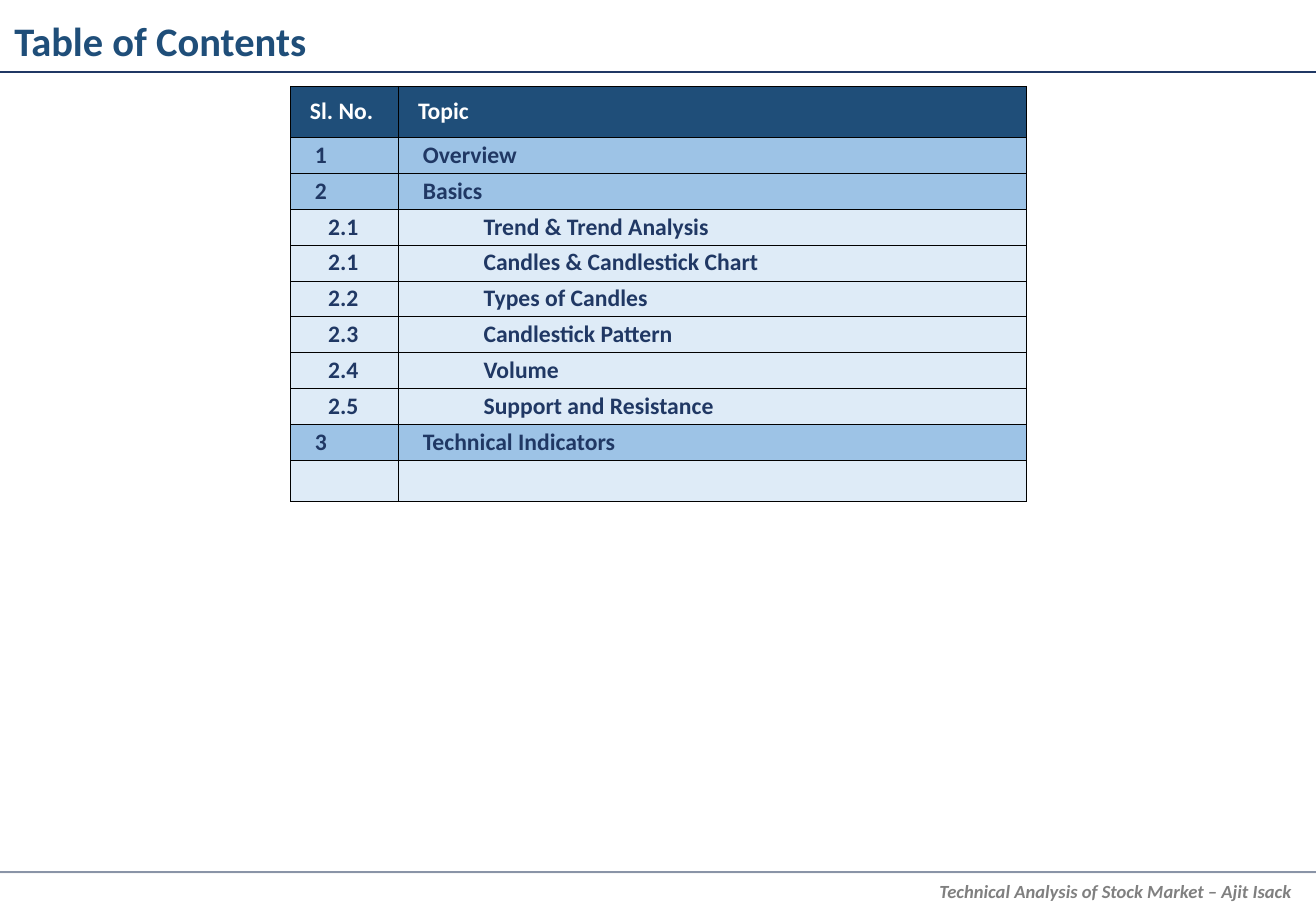
from dataclasses import dataclass

from lxml.etree import SubElement
from pptx import Presentation
from pptx.dml.color import RGBColor
from pptx.enum.shapes import MSO_CONNECTOR
from pptx.enum.text import MSO_ANCHOR, PP_ALIGN
from pptx.oxml.ns import qn
from pptx.slide import Slide
from pptx.table import _Cell
from pptx.text.text import TextFrame
from pptx.util import Cm, Pt

COLORS = {
    "title": "1F4E79",
    "navy": "203864",
    "section": "9DC3E6",
    "topic": "DEEBF7",
    "white": "FFFFFF",
    "footer": "808080",
    "overlay": "DBDBDB",
    "border": "000000",
}
PAGE_WIDTH, PAGE_HEIGHT = 27.51, 19.05
TITLE_HEIGHT = 1.5


@dataclass(frozen=True)
class RowStyle:
    height: float
    fill: str
    font: str
    number_margin: float
    topic_margin: float
    topic_indent: float = 0


@dataclass(frozen=True)
class Entry:
    number: str
    topic: str
    style: RowStyle


@dataclass(frozen=True)
class Rule:
    top: float
    color: str
    opacity: int = 100


HEADER = RowStyle(1.07, "title", "white", 0.41, 0.41)
SECTION = RowStyle(0.75, "section", "navy", 0.51, 0.51)
TOPIC = RowStyle(0.75, "topic", "navy", 0.79, 0.51, 1.27)
EMPTY = RowStyle(0.86, "topic", "navy", 0.51, 0.51)

ENTRIES = [
    Entry("Sl. No.", "Topic", HEADER),
    Entry("1", "Overview", SECTION),
    Entry("2", "Basics", SECTION),
    Entry("2.1", "Trend & Trend Analysis", TOPIC),
    Entry("2.1", "Candles & Candlestick Chart", TOPIC),
    Entry("2.2", "Types of Candles", TOPIC),
    Entry("2.3", "Candlestick Pattern", TOPIC),
    Entry("2.4", "Volume", TOPIC),
    Entry("2.5", "Support and Resistance", TOPIC),
    Entry("3", "Technical Indicators", SECTION),
    Entry("", "", EMPTY),
]
RULES = [
    Rule(TITLE_HEIGHT, "navy"),
    Rule(18.24, "navy"),
    Rule(18.24, "overlay", 57),
]


def rgb(name: str) -> RGBColor:
    return RGBColor.from_string(COLORS[name])


def write_text(frame: TextFrame, text: str, *, size: float, color: str,
               italic: bool = False, align: PP_ALIGN = PP_ALIGN.LEFT,
               indent: float = 0) -> None:
    para = frame.paragraphs[0]
    para.alignment = align
    if indent:
        para._p.get_or_add_pPr().set("marL", str(Cm(indent)))
    span = para.add_run()
    span.text = text
    span.font.name = "Calibri"
    span.font.size = Pt(size)
    span.font.bold = True
    span.font.italic = italic
    span.font.color.rgb = rgb(color)


def add_frame(page: Slide, left: float, top: float, width: float, height: float,
              margins: tuple[float, float, float, float],
              anchor: MSO_ANCHOR) -> TextFrame:
    frame = page.shapes.add_textbox(Cm(left), Cm(top), Cm(width), Cm(height)).text_frame
    frame.word_wrap = True
    frame.vertical_anchor = anchor
    (frame.margin_left, frame.margin_top,
     frame.margin_right, frame.margin_bottom) = map(Cm, margins)
    return frame


def draw_rule(page: Slide, rule: Rule) -> None:
    line = page.shapes.add_connector(
        MSO_CONNECTOR.STRAIGHT, 0, Cm(rule.top), Cm(PAGE_WIDTH), Cm(rule.top))
    line.line.width = Pt(1.25)
    line.line.color.rgb = rgb(rule.color)
    if rule.opacity < 100:
        color = next(line._element.spPr.iter(qn("a:srgbClr")))
        SubElement(color, qn("a:alpha"), val=str(rule.opacity * 1000))
    SubElement(line._element.spPr, qn("a:effectLst"))


def draw_borders(cell: _Cell) -> None:
    properties = cell._tc.get_or_add_tcPr()
    for side in ("L", "R", "T", "B"):
        border = SubElement(properties, qn(f"a:ln{side}"), w=str(Pt(0.25)))
        fill = SubElement(border, qn("a:solidFill"))
        SubElement(fill, qn("a:srgbClr"), val=COLORS["border"])


def draw_cell(cell: _Cell, text: str, style: RowStyle, margin: float,
              indent: float = 0) -> None:
    draw_borders(cell)
    cell.fill.solid()
    cell.fill.fore_color.rgb = rgb(style.fill)
    cell.vertical_anchor = MSO_ANCHOR.MIDDLE
    cell.margin_left = Cm(margin)
    cell.margin_top = cell.margin_right = cell.margin_bottom = 0
    if text:
        write_text(cell.text_frame, text, size=14, color=style.font, indent=indent)


def draw_contents(page: Slide, entries: list[Entry]) -> None:
    widths = (2.26, 13.13)
    height = sum(entry.style.height for entry in entries)
    table = page.shapes.add_table(len(entries), len(widths), Cm(6.07), Cm(1.8),
                                  Cm(sum(widths)), Cm(height)).table
    table.horz_banding = False
    for column, width in zip(table.columns, widths):
        column.width = Cm(width)
    for row, entry in zip(table.rows, entries):
        style = entry.style
        row.height = Cm(style.height)
        number, topic = row.cells
        draw_cell(number, entry.number, style, style.number_margin)
        draw_cell(topic, entry.topic, style, style.topic_margin, style.topic_indent)


deck = Presentation()
deck.slide_width, deck.slide_height = Cm(PAGE_WIDTH), Cm(PAGE_HEIGHT)
page = deck.slides.add_slide(deck.slide_layouts[6])

for rule in RULES:
    draw_rule(page, rule)

footer = add_frame(page, 17.32, 18.21, 10.19, 0.84, (0.25, 0.13, 0.5, 0.13),
                   MSO_ANCHOR.MIDDLE)
write_text(footer, "Technical Analysis of Stock Market – Ajit Isack",
           size=11, color="footer", italic=True, align=PP_ALIGN.RIGHT)

title = add_frame(page, 0, 0, PAGE_WIDTH, TITLE_HEIGHT, (0.3, 0, 0, 0.15),
                  MSO_ANCHOR.BOTTOM)
write_text(title, "Table of Contents", size=24, color="title")

draw_contents(page, ENTRIES)
deck.save("out.pptx")
